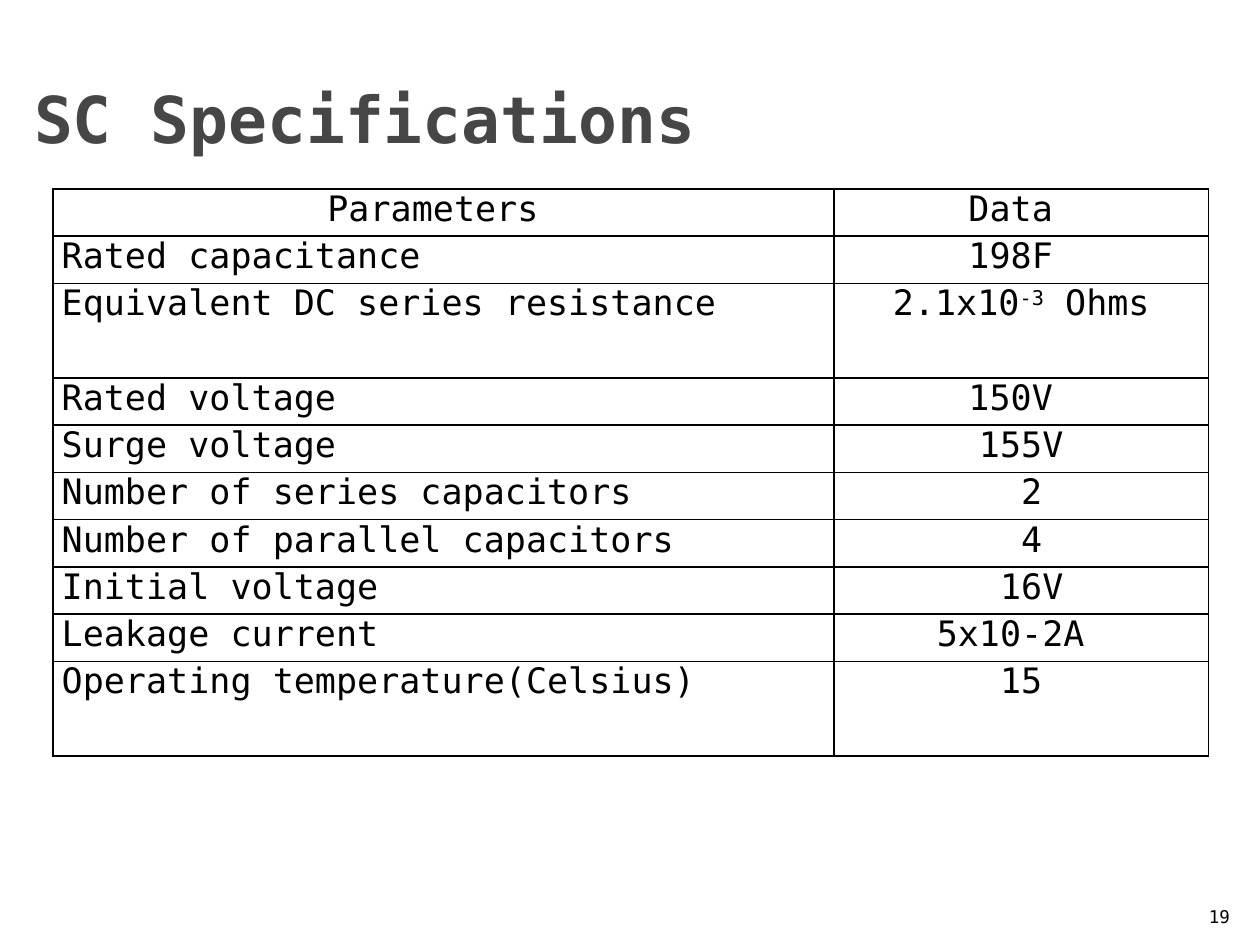
"""Build the SC Specifications slide with its parameter table."""
from lxml import etree
from pptx import Presentation
from pptx import util as u
from pptx.dml.color import RGBColor
from pptx.enum import text
from pptx.oxml import ns

COLORS = {"title": "464646", "ink": "000000"}
FONT = "DejaVu Sans Mono"
ROW = 0.375
COLUMNS = (6.2, 2.97)
SPECIFICATIONS = [
    ("Parameters ", "Data ", 1),
    ("Rated capacitance ", "198F ", 1),
    ("Equivalent DC series resistance", "2.1x10^-3^ Ohms", 2),
    ("Rated voltage ", "150V ", 1),
    ("Surge voltage", "155V", 1),
    ("Number of series capacitors", " 2", 1),
    ("Number of parallel capacitors", " 4", 1),
    ("Initial voltage", " 16V", 1),
    ("Leakage current ", "5x10-2A ", 1),
    ("Operating temperature(Celsius)", "15", 2),
]


def add_run(paragraph, content, size, color="ink", bold=False):
    run = paragraph.add_run()
    run.text = content
    run.font.name = FONT
    run.font.size = u.Pt(size)
    run.font.bold = bold
    run.font.color.rgb = RGBColor.from_string(COLORS[color])
    return run


def add_borders(cell):
    properties = cell._tc.get_or_add_tcPr()
    for index, side in enumerate(("lnL", "lnR", "lnT", "lnB")):
        line = etree.Element(ns.qn(f"a:{side}"), w=str(u.Pt(1)))
        fill = etree.SubElement(line, ns.qn("a:solidFill"))
        etree.SubElement(fill, ns.qn("a:srgbClr"), val=COLORS["ink"])
        properties.insert(index, line)


presentation = Presentation()
presentation.slide_width = u.Inches(10)
presentation.slide_height = u.Inches(7.5)
slide = presentation.slides.add_slide(presentation.slide_layouts[5])

title = slide.shapes.title
title.left, title.top = u.Inches(0.17), u.Inches(0.58)
title.width, title.height = u.Inches(9), u.Inches(1.25)
title.text_frame.vertical_anchor = text.MSO_ANCHOR.TOP
paragraph = title.text_frame.paragraphs[0]
paragraph.alignment = text.PP_ALIGN.LEFT
add_run(paragraph, "SC Specifications", 36.9, "title", True)

units = sum(height for _, _, height in SPECIFICATIONS)
table = slide.shapes.add_table(
    len(SPECIFICATIONS), len(COLUMNS), u.Inches(0.42), u.Inches(1.5),
    u.Inches(sum(COLUMNS)), u.Inches(units * ROW)).table
table.horz_banding = False
table.first_row = False
for column, width in zip(table.columns, COLUMNS):
    column.width = u.Inches(width)

for row_index, (parameter, value, height) in enumerate(SPECIFICATIONS):
    table.rows[row_index].height = u.Inches(height * ROW)
    for column_index, content in enumerate((parameter, value)):
        cell = table.cell(row_index, column_index)
        cell.margin_left = cell.margin_right = u.Inches(0.07)
        cell.margin_top = cell.margin_bottom = 0
        cell.fill.background()
        add_borders(cell)
        paragraph = cell.text_frame.paragraphs[0]
        centered = row_index == 0 or column_index == 1
        last = row_index == len(SPECIFICATIONS) - 1
        paragraph.alignment = (
            text.PP_ALIGN.CENTER if centered
            else text.PP_ALIGN.LEFT if last else text.PP_ALIGN.JUSTIFY)
        for part_index, part in enumerate(content.split("^")):
            run = add_run(paragraph, part, 20)
            if part_index == 1:
                run.font._element.set("baseline", "30000")

number = slide.shapes.add_textbox(
    u.Inches(9.46), u.Inches(7.01), u.Inches(0.4), u.Inches(0.4))
number.text_frame.word_wrap = True
number.text_frame.vertical_anchor = text.MSO_ANCHOR.BOTTOM
paragraph = number.text_frame.paragraphs[0]
paragraph.alignment = text.PP_ALIGN.RIGHT
add_run(paragraph, "19", 10)

presentation.save("out.pptx")
